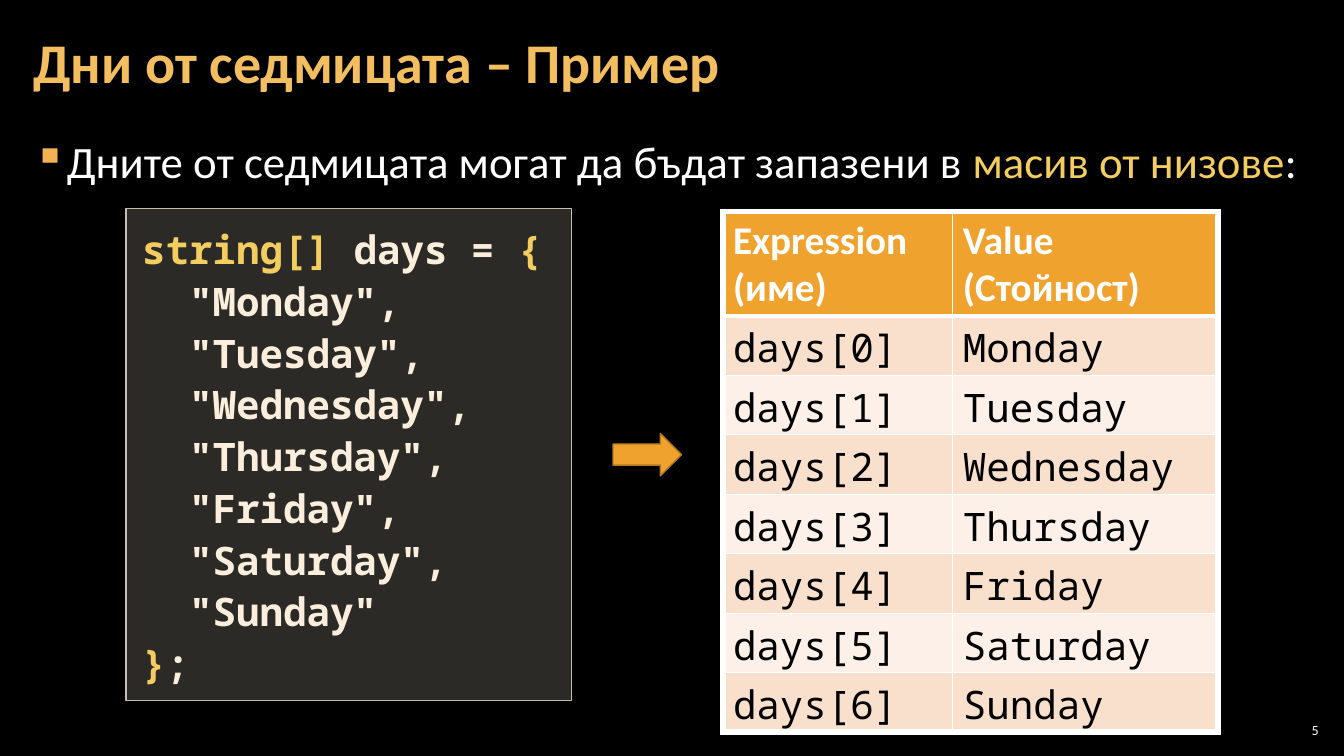
from pptx import Presentation
from pptx.dml.color import RGBColor
from pptx.enum.shapes import MSO_SHAPE
from pptx.enum.text import MSO_ANCHOR, MSO_AUTO_SIZE, PP_ALIGN
from pptx.oxml import parse_xml
from pptx.oxml.ns import nsdecls, qn
from pptx.util import Inches, Pt
from lxml import etree

COLORS = {
    "back": "000000", "white": "FFFFFF", "title": "F3BE60", "bullet": "F2B254",
    "key": "F3CD60", "code": "FBEEDC", "code_fill": "D9D5C7", "code_line": "C7BFAC",
    "accent": "F0A22E", "accent_line": "B27822", "band1": "F9E0CD", "band2": "FCF0E8",
}
SANS, MONO = "Calibri", "Noto Sans Mono"
DAYS = ["Monday", "Tuesday", "Wednesday", "Thursday", "Friday", "Saturday", "Sunday"]


def rgb(name):
    return RGBColor.from_string(COLORS[name])


class SlideBuilder:
    def __init__(self, prs):
        self.s = prs.slides.add_slide(prs.slide_layouts[5])
        fill = self.s.background.fill
        fill.solid()
        fill.fore_color.rgb = rgb("back")

    def add_lines(self, tf, lines, size, font=SANS, bold=False, spacing=None,
                  align=PP_ALIGN.LEFT):
        """Each line is a list of (text, colour) runs."""
        for i, line in enumerate(lines):
            p = tf.paragraphs[0] if i == 0 else tf.add_paragraph()
            p.alignment = align
            if spacing:
                p.line_spacing = spacing
            for text, color in line:
                r = p.add_run()
                r.text = text
                r.font.size, r.font.name, r.font.bold = Pt(size), font, bold
                r.font.color.rgb = rgb(color)

    def frame(self, sp, inset_x, inset_y, anchor=MSO_ANCHOR.TOP):
        tf = sp.text_frame
        tf.word_wrap = True
        tf.auto_size = MSO_AUTO_SIZE.NONE
        tf.vertical_anchor = anchor
        tf.margin_left = tf.margin_right = Inches(inset_x)
        tf.margin_top = tf.margin_bottom = Inches(inset_y)
        return tf

    def title(self, box, text):
        sp = self.s.shapes.title
        sp.left, sp.top, sp.width, sp.height = map(Inches, box)
        tf = self.frame(sp, 0.12, 0.04, MSO_ANCHOR.MIDDLE)
        self.add_lines(tf, [[(text, "title")]], 40, bold=True, spacing=0.9)

    def text(self, box, runs, size, inset=(0.12, 0.04), anchor=MSO_ANCHOR.TOP, **style):
        sp = self.s.shapes.add_textbox(*map(Inches, box))
        tf = self.frame(sp, *inset, anchor)
        self.add_lines(tf, [runs], size, **style)
        return tf.paragraphs[0]

    def bullet(self, box, runs, size):
        p = self.text(box, runs, size, spacing=1.05)
        p.space_after = Pt(6)
        pPr = p._p.get_or_add_pPr()
        pPr.set("marL", str(Inches(0.33)))
        pPr.set("indent", str(-Inches(0.33)))
        color = etree.SubElement(pPr, qn("a:buClr"))
        etree.SubElement(color, qn("a:srgbClr"), val=COLORS["bullet"])
        etree.SubElement(pPr, qn("a:buChar"), char="▪")

    def shape(self, kind, box, fill, line, alpha=None):
        sp = self.s.shapes.add_shape(kind, *map(Inches, box))
        sp.shadow.inherit = False
        sp.fill.solid()
        sp.fill.fore_color.rgb = rgb(fill)
        sp.line.color.rgb = rgb(line)
        sp.line.width = Pt(1)
        if alpha:
            color = sp._element.spPr.find(qn("a:solidFill")).find(qn("a:srgbClr"))
            etree.SubElement(color, qn("a:alpha"), val=str(alpha * 1000))
        return sp

    def code(self, box, lines, size):
        sp = self.shape(MSO_SHAPE.RECTANGLE, box, "code_fill", "code_line", alpha=20)
        tf = self.frame(sp, 0.16, 0.12)
        tf.auto_size = MSO_AUTO_SIZE.SHAPE_TO_FIT_TEXT
        self.add_lines(tf, lines, size, font=MONO, bold=True, spacing=1.1)

    def borders(self, cell, widths):
        tcPr = cell._tc.get_or_add_tcPr()
        for i, (side, width) in enumerate(zip("LRTB", widths)):
            tcPr.insert(i, parse_xml(
                f'<a:ln{side} {nsdecls("a")} w="{Pt(width)}"><a:solidFill>'
                f'<a:srgbClr val="{COLORS["white"]}"/></a:solidFill></a:ln{side}>'))

    def table(self, box, col_widths, row_heights, rows, size):
        last_row, last_col = len(rows) - 1, len(col_widths) - 1
        tbl = self.s.shapes.add_table(len(rows), len(col_widths), *map(Inches, box)).table
        for col, width in zip(tbl.columns, col_widths):
            col.width = Inches(width)
        for row, height in zip(tbl.rows, row_heights):
            row.height = Inches(height)
        for i, row in enumerate(rows):
            head = i == 0
            for j, lines in enumerate(row):
                cell = tbl.cell(i, j)
                cell.fill.solid()
                cell.fill.fore_color.rgb = rgb(
                    "accent" if head else "band1" if i % 2 else "band2")
                # Thick outer frame, medium rule under the header
                self.borders(cell, (
                    4.5 if j == 0 else 1,
                    4.5 if j == last_col else 1,
                    4.5 if head else 3 if i == 1 else 1,
                    3 if head else 4.5 if i == last_row else 1))
                color = "white" if head else "back"
                self.add_lines(cell.text_frame, [[(t, color)] for t in lines], size,
                               font=SANS if head else MONO, bold=head)


def main():
    prs = Presentation()
    prs.slide_width, prs.slide_height = Inches(13.33), Inches(7.5)
    b = SlideBuilder(prs)

    # Heading and lead sentence
    b.title((0.21, 0.04, 12.91, 1.21), "Дни от седмицата – Пример")
    b.bullet((0.21, 1.26, 12.91, 0.75), [
        ("Дните от седмицата могат да бъдат запазени в ", "white"),
        ("масив от низове", "key"), (":", "white")], 32)

    # Array declaration
    items = [f'  "{day}",' for day in DAYS[:-1]] + [f'  "{DAYS[-1]}"']
    b.code((1.25, 2.07, 4.42, 4.88), [
        [("string[] ", "key"), ("days = ", "code"), ("{", "key")],
        *[[(item, "code")] for item in items],
        [("}", "key"), (";", "code")]], 28)

    # Array contents
    rows = [[["Expression (име)"], ["Value", "(Стойност)"]]]
    rows += [[[f"days[{i}]"], [day]] for i, day in enumerate(DAYS)]
    b.table((7.17, 2.1, 4.91, 5.2), [2.28, 2.63], [0.66] + [0.59] * len(DAYS), rows, 28)

    # Arrow from code to table
    b.shape(MSO_SHAPE.RIGHT_ARROW, (6.08, 4.3, 0.68, 0.42), "accent", "accent_line")

    # Page number
    b.text((12.65, 7.14, 0.47, 0.21), [("5", "white")], 10, inset=(0.04, 0.04),
           anchor=MSO_ANCHOR.MIDDLE, align=PP_ALIGN.RIGHT)

    prs.save("out.pptx")


if __name__ == "__main__":
    main()
